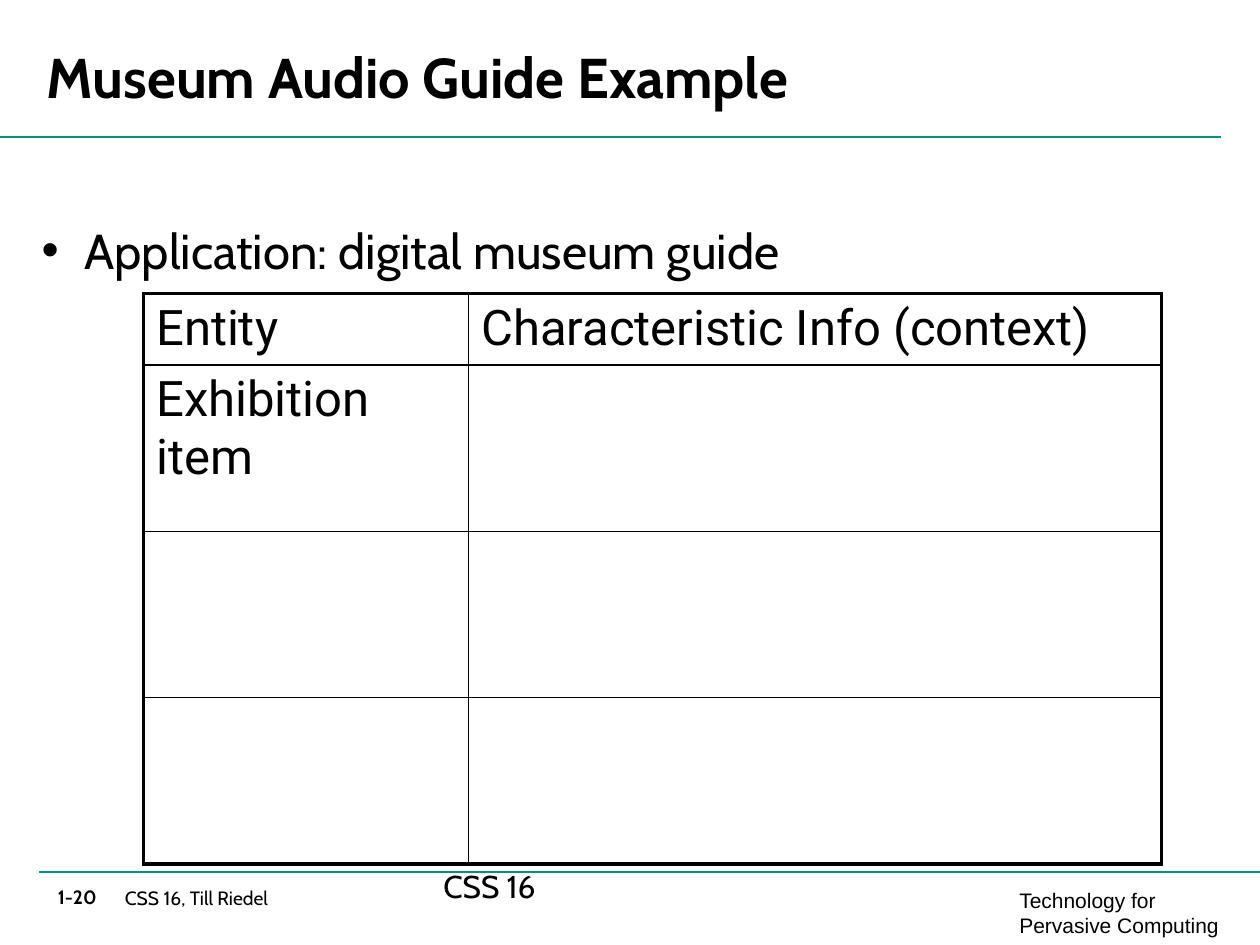
from lxml import etree
from pptx import Presentation
from pptx.dml.color import RGBColor
from pptx.enum import shapes, text
from pptx.oxml.ns import qn
from pptx.util import Inches, Pt

BLACK = RGBColor(0x00, 0x00, 0x00)
TEAL = RGBColor(0x00, 0x93, 0x7F)

# Content
TITLE = "Museum Audio Guide Example"
BULLET = "Application: digital museum guide"
ROWS = [
    ("Entity", "Characteristic Info (context)"),
    ("Exhibition item", ""),
    ("", ""),
    ("", ""),
]
COLUMN_WIDTHS = (2.58, 5.5)
ROW_HEIGHTS = (0.55, 1.32, 1.32, 1.32)
TABLE_LEFT, TABLE_TOP = 1.14, 2.33
OUTER_BORDER, INNER_BORDER = 2.25, 1

RULES = [(0, 9.69, 1.09), (0.31, 10, 6.92)]  # start x, end x, y

# Text, box, size, font, bold
FOOTERS = [
    ("Technology for Pervasive Computing", (8.09, 7.04, 1.79, 0.42), 12, "Arial", False),
    ("1-20", (0.46, 7.03, 0.5, 0.24), 11, "Cabin", True),
    ("CSS 16, Till Riedel", (0.99, 7.03, 5.51, 0.39), 11, "Cabin", False),
]
CAPTION = ("CSS 16", (3.42, 6.83, 3.17, 0.52), 18, "Cabin", False)


def write(frame, content, size, font="Cabin", bold=False):
    frame.text = content
    frame.word_wrap = True
    for run in frame.paragraphs[0].runs:
        run.font.size = Pt(size)
        run.font.name = font
        run.font.bold = bold
        run.font.color.rgb = BLACK


def clear_margins(frame):
    frame.margin_left = frame.margin_right = 0
    frame.margin_top = frame.margin_bottom = 0


def add_text(slide, content, box, size, font, bold):
    shape = slide.shapes.add_textbox(*map(Inches, box))
    write(shape.text_frame, content, size, font, bold)
    return shape.text_frame


def add_bullet(paragraph, indent):
    properties = paragraph._p.get_or_add_pPr()
    properties.set("marL", str(Inches(indent)))
    properties.set("indent", str(-Inches(indent)))
    etree.SubElement(properties, qn("a:buFont"), typeface="Arial")
    etree.SubElement(properties, qn("a:buChar"), char="•")


def set_borders(cell, widths):
    properties = cell._tc.get_or_add_tcPr()
    for position, (side, width) in enumerate(widths.items()):
        line = etree.Element(qn(f"a:ln{side}"), w=str(Pt(width)))
        fill = etree.SubElement(line, qn("a:solidFill"))
        etree.SubElement(fill, qn("a:srgbClr"), val=str(BLACK))
        properties.insert(position, line)


def add_table(slide):
    last_row, last_column = len(ROWS) - 1, len(COLUMN_WIDTHS) - 1
    table = slide.shapes.add_table(
        len(ROWS), len(COLUMN_WIDTHS), Inches(TABLE_LEFT), Inches(TABLE_TOP),
        Inches(sum(COLUMN_WIDTHS)), Inches(sum(ROW_HEIGHTS))).table
    table.first_row = table.horz_banding = False
    for column, width in zip(table.columns, COLUMN_WIDTHS):
        column.width = Inches(width)
    for r, (row, height) in enumerate(zip(table.rows, ROW_HEIGHTS)):
        row.height = Inches(height)
        for c, cell in enumerate(row.cells):
            cell.fill.background()
            write(cell.text_frame, ROWS[r][c], 28, "Roboto")
            edges = {"L": c == 0, "R": c == last_column,
                     "T": r == 0, "B": r == last_row}
            set_borders(cell, {side: OUTER_BORDER if outer else INNER_BORDER
                               for side, outer in edges.items()})


def main():
    presentation = Presentation()
    presentation.slide_width, presentation.slide_height = Inches(10), Inches(7.5)
    slide = presentation.slides.add_slide(presentation.slide_layouts[5])

    # Footer texts and teal rules
    for footer in FOOTERS:
        clear_margins(add_text(slide, *footer))
    for start, end, y in RULES:
        rule = slide.shapes.add_connector(
            shapes.MSO_CONNECTOR.STRAIGHT,
            Inches(start), Inches(y), Inches(end), Inches(y))
        rule.line.color.rgb = TEAL
        rule.line.width = Pt(1)
        etree.SubElement(rule._element.spPr, qn("a:effectLst"))

    # Title
    title = slide.shapes.title
    title.left, title.top = Inches(0.37), Inches(-0.38)
    title.width, title.height = Inches(9.34), Inches(1.25)
    write(title.text_frame, TITLE, 32, bold=True)
    clear_margins(title.text_frame)
    title.text_frame.auto_size = text.MSO_AUTO_SIZE.NONE
    title.text_frame.vertical_anchor = text.MSO_ANCHOR.BOTTOM
    title.text_frame.paragraphs[0].alignment = text.PP_ALIGN.LEFT

    # Bullet, table and caption
    body = add_text(slide, BULLET, (0.33, 1.75, 9.08, 4.92), 28, "Cabin", False)
    clear_margins(body)
    add_bullet(body.paragraphs[0], 0.34)
    add_table(slide)
    add_text(slide, *CAPTION)

    presentation.save("out.pptx")


if __name__ == "__main__":
    main()
